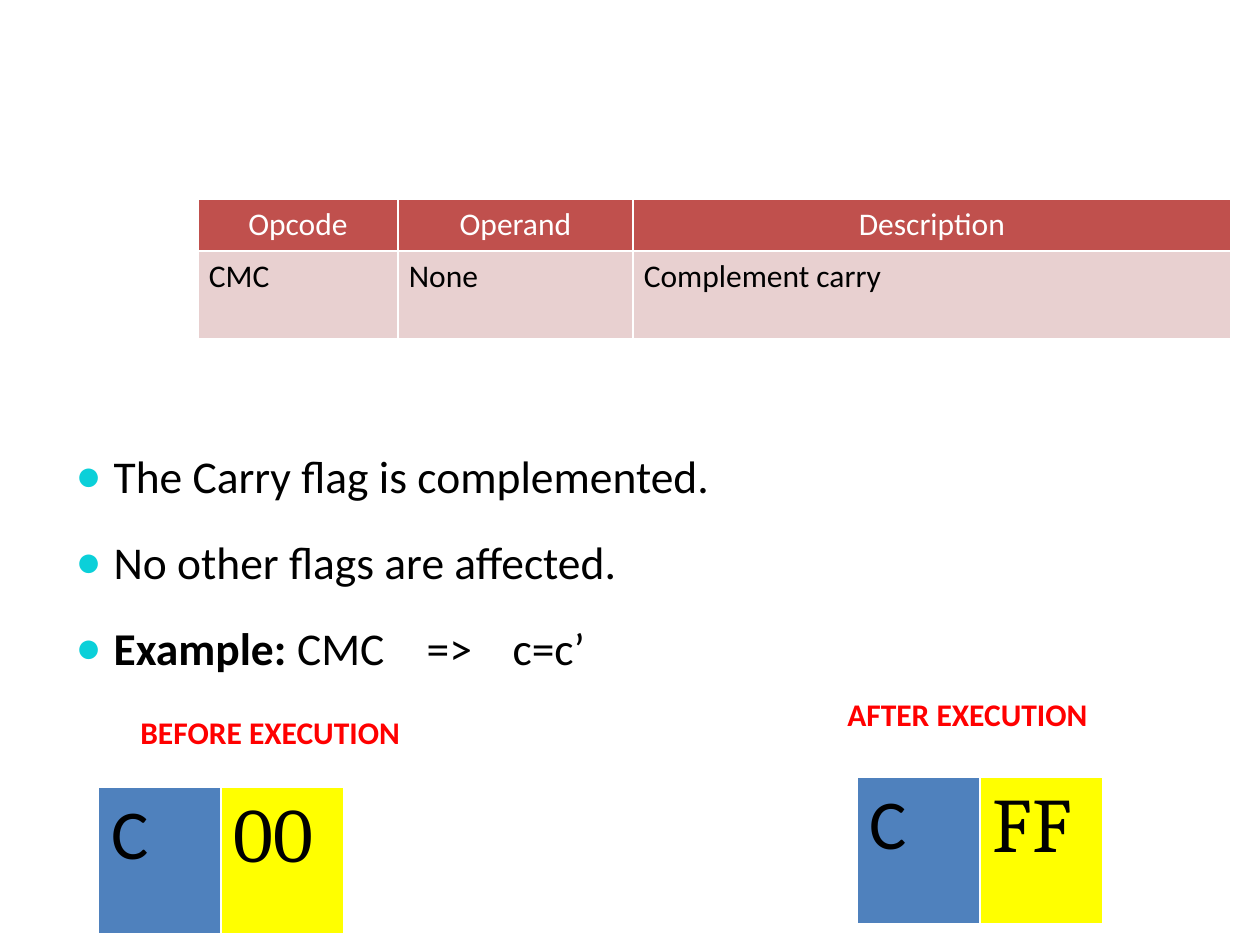
from lxml import etree
from pptx import Presentation
from pptx.dml.color import RGBColor
from pptx.enum.text import MSO_AUTO_SIZE, PP_ALIGN
from pptx.oxml.ns import qn
from pptx.util import Pt

PX = 914400 // 126
CENTER, LEFT = PP_ALIGN.CENTER, PP_ALIGN.LEFT
NO_FIT = MSO_AUTO_SIZE.NONE
COLORS = {"white": "FFFFFF", "black": "000000", "red": "FF0000", "header": "C0504D",
          "band": "E8D0D0", "blue": "4F81BD", "yellow": "FFFF00", "bullet": "0BD0D9"}


def style(run, size, color, name="Calibri", bold=False):
    run.font.size, run.font.name, run.font.bold = Pt(size), name, bold
    run.font.color.rgb = RGBColor.from_string(COLORS[color])


def draw_table(page, left, top, widths, heights, rows, margin):
    """Each cell is (text, size, font, text colour, fill, alignment)."""
    table = page.shapes.add_table(len(rows), len(widths), left * PX, top * PX,
                                  sum(widths) * PX, sum(heights) * PX).table
    table.first_row = table.horz_banding = False
    for column, width in zip(table.columns, widths):
        column.width = width * PX
    for r, row in enumerate(rows):
        table.rows[r].height = heights[r] * PX
        for c, (text, size, font, color, fill, align) in enumerate(row):
            cell = table.cell(r, c)
            cell.margin_left = cell.margin_right = margin * PX
            cell.text_frame.text = text
            para = cell.text_frame.paragraphs[0]
            para.alignment = align
            style(para.runs[0], size, color, font)
            # Borders come before the fill in the cell properties
            properties = cell._tc.get_or_add_tcPr()
            for side in ("lnL", "lnR", "lnT", "lnB"):
                line = etree.SubElement(properties, qn("a:" + side), w=str(Pt(1)))
                solid = etree.SubElement(line, qn("a:solidFill"))
                etree.SubElement(solid, qn("a:srgbClr"), val=COLORS["white"])
            cell.fill.solid()
            cell.fill.fore_color.rgb = RGBColor.from_string(COLORS[fill])


deck = Presentation()
deck.slide_width, deck.slide_height = 1260 * PX, 945 * PX
page = deck.slides.add_slide(deck.slide_layouts[1])
title = page.shapes.title._element
title.getparent().remove(title)

# Instruction table
header = [(text, 18, "Calibri", "white", "header", CENTER)
          for text in ("Opcode", "Operand", "Description")]
values = [(text, 18, "Calibri", "black", "band", LEFT)
          for text in ("CMC", "None", "Complement carry")]
draw_table(page, 198, 199, [200, 235, 598], [52, 88], [header, values], 11)

# Bullet list
body = page.placeholders[1]
body.left, body.top, body.width, body.height = 63 * PX, 442 * PX, 1134 * PX, 428 * PX
frame = body.text_frame
frame.auto_size = NO_FIT
points = [[("The Carry flag is complemented.", False)],
          [("No other flags are affected.", False)],
          [("Example:", True), (" CMC\t=>\tc=c’", False)]]
for index, parts in enumerate(points):
    para = frame.paragraphs[0] if index == 0 else frame.add_paragraph()
    para.space_before, para.space_after = Pt(0), Pt(18)
    properties = para._p.get_or_add_pPr()
    properties.set("marL", str(38 * PX))
    properties.set("indent", str(-38 * PX))
    bullet_color = etree.SubElement(properties, qn("a:buClr"))
    etree.SubElement(bullet_color, qn("a:srgbClr"), val=COLORS["bullet"])
    etree.SubElement(properties, qn("a:buSzPct"), val="95000")
    etree.SubElement(properties, qn("a:buChar"), char="●")
    if len(parts) > 1:
        tabs = etree.SubElement(properties, qn("a:tabLst"))
        for stop in (351, 437):
            etree.SubElement(tabs, qn("a:tab"), pos=str(stop * PX), algn="l")
    for text, bold in parts:
        run = para.add_run()
        run.text = text
        style(run, 26, "black", bold=bold)

# Carry flag before and after execution
states = [("BEFORE EXECUTION", 128, 707, 287, "00", 98, 787),
          ("AFTER EXECUTION", 835, 689, 267, "FF", 857, 777)]
for label, left, top, width, value, table_left, table_top in states:
    box = page.shapes.add_textbox(left * PX, top * PX, width * PX, 50 * PX)
    box.text_frame.word_wrap = False
    box.text_frame.text = label
    style(box.text_frame.paragraphs[0].runs[0], 18, "red", bold=True)
    flag = [("C", 40, "Calibri", "black", "blue", LEFT),
            (value, 44, "Cambria", "black", "yellow", LEFT)]
    draw_table(page, table_left, table_top, [123, 123], [147], [flag], 13)

deck.save("out.pptx")
